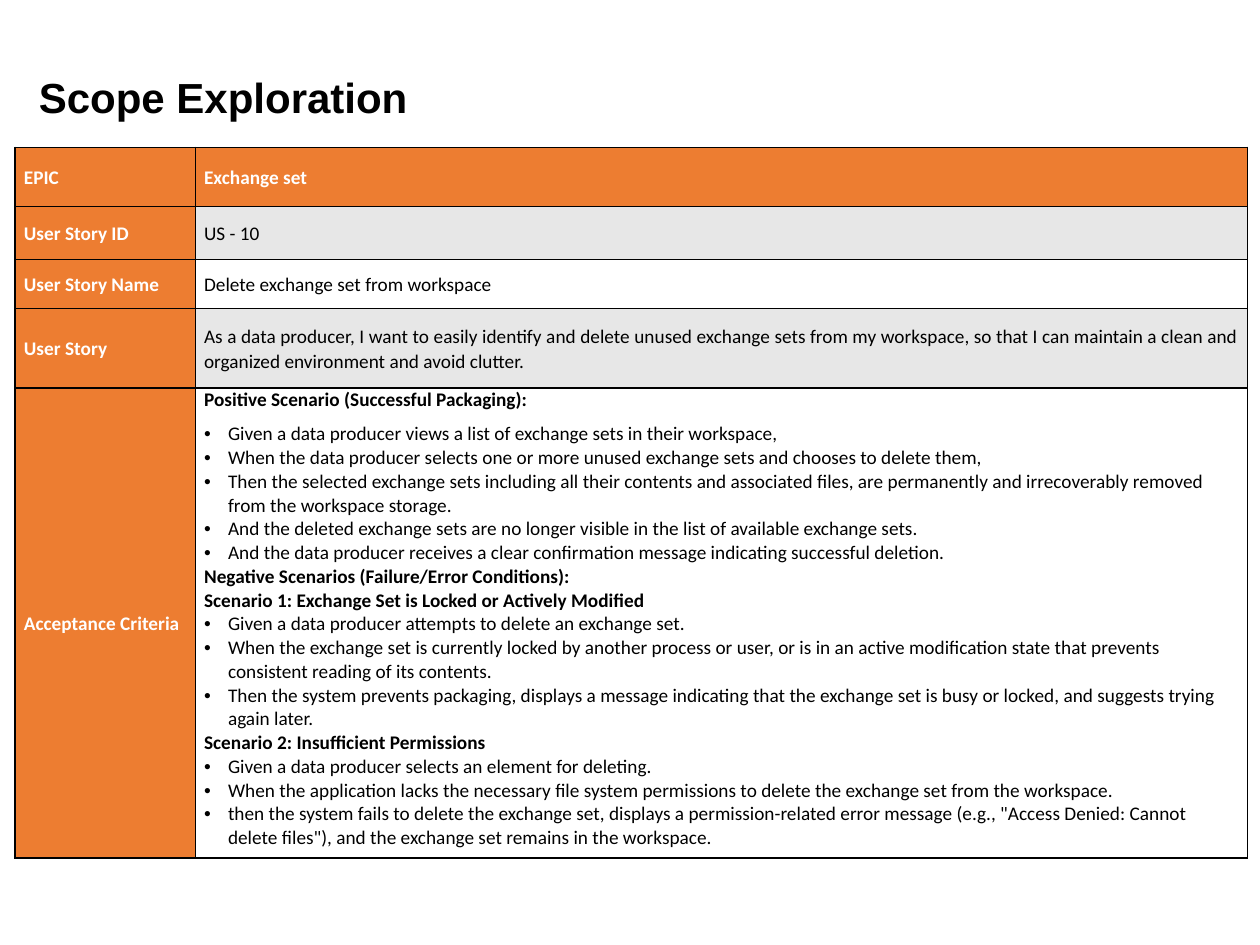
"""Build the Scope Exploration slide with its user story table."""
import lxml.etree
import pptx
import pptx.dml.color
import pptx.enum.text
import pptx.oxml.ns
import pptx.util

Inches = pptx.util.Inches
Pt = pptx.util.Pt
qn = pptx.oxml.ns.qn
ANCHOR = pptx.enum.text.MSO_ANCHOR
ALIGN = pptx.enum.text.PP_ALIGN

ORANGE, GRAY, WHITE, BLACK = "ED7D31", "E7E7E7", "FFFFFF", "000000"


def color(value):
    return pptx.dml.color.RGBColor.from_string(value)


def add_run(paragraph, text, size, name, fill, bold):
    run = paragraph.add_run()
    run.text = text
    run.font.size = Pt(size)
    run.font.name = name
    run.font.bold = bold
    run.font.color.rgb = color(fill)


story_rows = [
    ("EPIC", "Exchange set", 0.47, ORANGE),
    ("User Story ID", "US - 10", 0.42, GRAY),
    ("User Story Name", "Delete exchange set from workspace", 0.39, WHITE),
    ("User Story", "As a data producer, I want to easily identify and delete unused exchange sets "
     "from my workspace, so that I can maintain a clean and organized environment and avoid clutter.",
     0.63, GRAY),
    ("Acceptance Criteria", "", 3.73, WHITE),
]
criteria = [
    ("Positive Scenario (Successful Packaging):", [
        "Given a data producer views a list of exchange sets in their workspace,",
        "When the data producer selects one or more unused exchange sets and chooses to delete them,",
        "Then the selected exchange sets including all their contents and associated files, "
        "are permanently and irrecoverably removed from the workspace storage.",
        "And the deleted exchange sets are no longer visible in the list of available exchange sets.",
        "And the data producer receives a clear confirmation message indicating successful deletion.",
    ]),
    ("Negative Scenarios (Failure/Error Conditions):", []),
    ("Scenario 1: Exchange Set is Locked or Actively Modified", [
        "Given a data producer attempts to delete an exchange set.",
        "When the exchange set is currently locked by another process or user, or is in an active "
        "modification state that prevents consistent reading of its contents.",
        "Then the system prevents packaging, displays a message indicating that the exchange set "
        "is busy or locked, and suggests trying again later.",
    ]),
    ("Scenario 2: Insufficient Permissions", [
        "Given a data producer selects an element for deleting.",
        "When the application lacks the necessary file system permissions to delete the exchange set "
        "from the workspace.",
        "then the system fails to delete the exchange set, displays a permission-related error message "
        '(e.g., "Access Denied: Cannot delete files"), and the exchange set remains in the workspace.',
    ]),
]

presentation = pptx.Presentation()
presentation.slide_width = Inches(10)
presentation.slide_height = Inches(7.5)
slide = presentation.slides.add_slide(presentation.slide_layouts[6])

title = slide.shapes.add_textbox(Inches(0.21), Inches(0.58), Inches(3.75), Inches(0.44))
title.text_frame.word_wrap = True
title.text_frame.vertical_anchor = ANCHOR.BOTTOM
title_paragraph = title.text_frame.paragraphs[0]
title_paragraph.alignment = ALIGN.JUSTIFY
add_run(title_paragraph, "Scope Exploration", 24, "Arial", BLACK, True)

table = slide.shapes.add_table(
    len(story_rows), 2, Inches(0.12), Inches(1.17), Inches(9.78), Inches(5.64)).table
table.columns[0].width = Inches(1.43)
table.columns[1].width = Inches(8.35)

for row, (label, value, height, value_fill) in enumerate(story_rows):
    table.rows[row].height = Inches(height)
    for column, (text, fill) in enumerate([(label, ORANGE), (value, value_fill)]):
        cell = table.cell(row, column)
        cell.margin_left = cell.margin_right = Inches(0.07)
        cell.margin_top = cell.margin_bottom = 0
        cell.vertical_anchor = ANCHOR.MIDDLE
        properties = cell._tc.get_or_add_tcPr()
        for side in ("a:lnL", "a:lnR", "a:lnT", "a:lnB"):
            border = lxml.etree.SubElement(properties, qn(side), w=str(Pt(1)))
            border_fill = lxml.etree.SubElement(border, qn("a:solidFill"))
            lxml.etree.SubElement(border_fill, qn("a:srgbClr"), val=BLACK)
        cell.fill.solid()
        cell.fill.fore_color.rgb = color(fill)
        if text:
            paragraph = cell.text_frame.paragraphs[0]
            paragraph.line_spacing = 1.07
            if value_fill == GRAY and row == 3 and column == 1:
                paragraph.alignment = ALIGN.JUSTIFY
            on_orange = fill == ORANGE
            add_run(paragraph, text, 11, "Calibri", WHITE if on_orange else BLACK, on_orange)

criteria_cell = table.cell(4, 1)
criteria_cell.vertical_anchor = ANCHOR.TOP
criteria_frame = criteria_cell.text_frame
for section, (heading, steps) in enumerate(criteria):
    if section == 0:
        paragraph = criteria_frame.paragraphs[0]
        paragraph.space_after = Pt(6)
    else:
        paragraph = criteria_frame.add_paragraph()
    add_run(paragraph, heading, 11, "Calibri", BLACK, True)
    for step in steps:
        paragraph = criteria_frame.add_paragraph()
        paragraph.level = 1
        properties = paragraph._p.get_or_add_pPr()
        properties.set("marL", str(Inches(0.19)))
        properties.set("indent", str(-Inches(0.19)))
        lxml.etree.SubElement(properties, qn("a:buFont"), typeface="Arial")
        lxml.etree.SubElement(properties, qn("a:buChar"), char="•")
        add_run(paragraph, step, 11, "Calibri", BLACK, False)

presentation.save("out.pptx")
